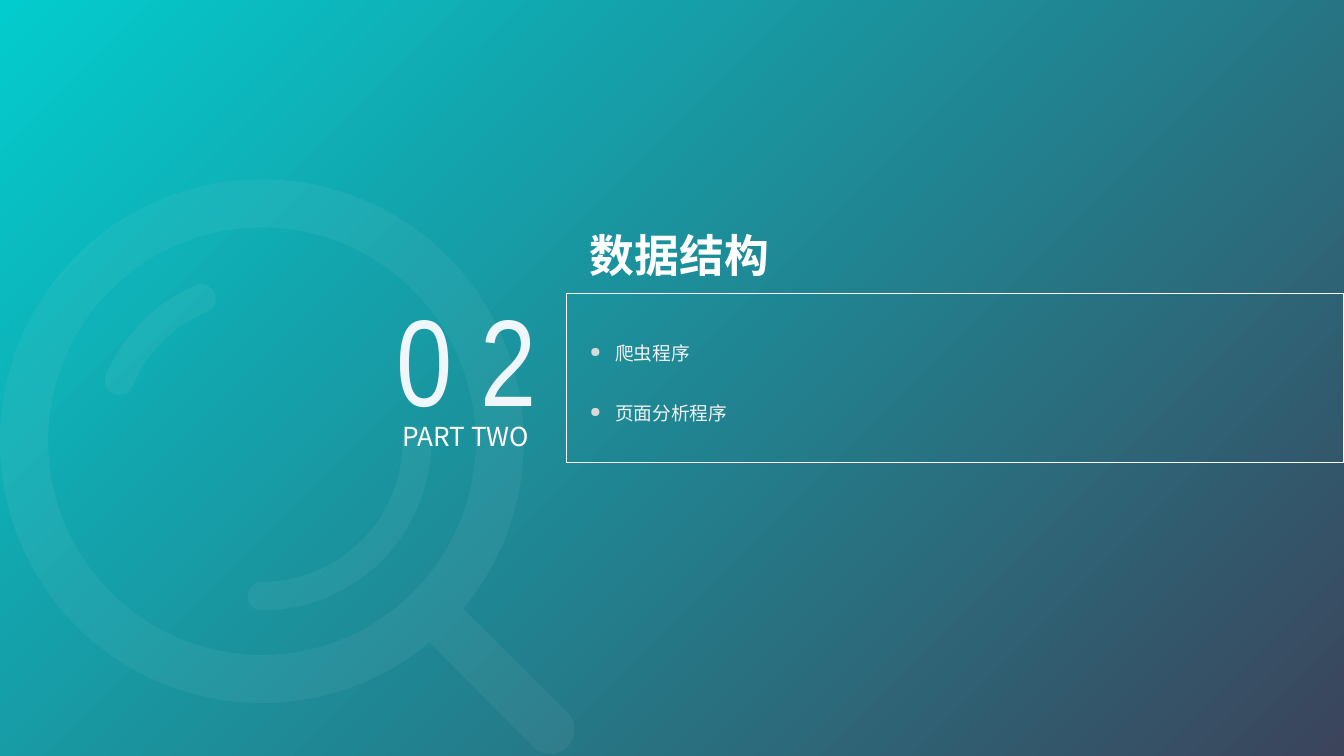
import math
from dataclasses import dataclass

from lxml import etree
from pptx import Presentation
from pptx import util as u
from pptx.dml.color import RGBColor
from pptx.enum import shapes, text
from pptx.oxml import ns

HUE = {"teal": "03CCCE", "slate": "3B445B", "white": "FFFFFF",
       "ice": "EFF6FC", "pale": "F2F2F2", "dot": "D9D9D9"}
SANS, SLIM = "Noto Sans CJK SC", "Arial Narrow"


@dataclass
class Box:
    left: float
    top: float
    width: float
    height: float

    def emu(self) -> list:
        return [u.Cm(v) for v in (self.left, self.top, self.width, self.height)]


@dataclass
class Arc:
    x: float
    y: float
    rad: float
    start: float
    end: float

    def spot(self, deg: float, slide: float = 0) -> tuple:
        c, s = math.cos(math.radians(deg)), math.sin(math.radians(deg))
        return (u.Cm(self.x + self.rad * (c - slide * s)),
                u.Cm(self.y + self.rad * (s + slide * c)))

    def curves(self) -> list:
        low, high = sorted((self.start, self.end))
        cuts = [low, *(d for d in range(-360, 721, 45) if low < d < high), high]
        if self.start > self.end:
            cuts.reverse()
        out = []
        for a, b in zip(cuts, cuts[1:]):
            pull = 4 / 3 * math.tan(math.radians(b - a) / 4)
            out += [self.spot(a, pull), self.spot(b, -pull), self.spot(b)]
        return out


def rgb(name: str) -> RGBColor:
    return RGBColor.from_string(HUE[name])


def node(parent, tag: str, **attrs):
    return etree.SubElement(parent, ns.qn(tag), attrs)


def write(shape, *lines: str, size: float, font: str, hue: str = "white",
          bold: bool = False, align=text.PP_ALIGN.LEFT,
          anchor=text.MSO_ANCHOR.TOP, wrap: bool = True,
          bullet: bool = False) -> None:
    frame = shape.text_frame
    frame.word_wrap = wrap
    frame.vertical_anchor = anchor
    for i, line in enumerate(lines):
        para = frame.add_paragraph() if i else frame.paragraphs[0]
        para.alignment = align
        run = para.add_run()
        run.text = line
        run.font.size = u.Pt(size)
        run.font.bold = bold
        run.font.color.rgb = rgb(hue)
        run.font.name = font
        node(run.font._element, "a:ea", typeface=SANS)
        if bullet:
            para.line_spacing = u.Pt(16)
            if i:
                para.space_before = u.Pt(16)
            props = para._p.get_or_add_pPr()
            props.set("marL", str(u.Cm(0.48)))
            props.set("indent", str(-u.Cm(0.48)))
            node(node(props, "a:buClr"), "a:srgbClr", val=HUE["dot"])
            node(props, "a:buSzPct", val="75000")
            node(props, "a:buChar", char="●")


def join(*arcs: Arc) -> list:
    ring = [arcs[0].spot(arcs[0].start)]
    for i, arc in enumerate(arcs):
        if i:
            ring += [arc.spot(arc.start)] * 3
        ring += arc.curves()
    return ring


def band(x: float, y: float, rad: float, half: float,
         start: float, end: float) -> list:
    mid = Arc(x, y, rad, start, end)

    def tip(deg: float, turn: float) -> Arc:
        cx, cy = mid.spot(deg)
        return Arc(u.Emu(cx).cm, u.Emu(cy).cm, half, turn, turn + 180)

    return join(Arc(x, y, rad + half, start, end), tip(end, end),
                Arc(x, y, rad - half, end, start), tip(start, start + 180))


def bend(shape) -> None:
    for path in shape._element.iter(ns.qn("a:path")):
        lines = path.findall(ns.qn("a:lnTo"))
        for trio in zip(*[iter(lines)] * 3):
            curve = etree.Element(ns.qn("a:cubicBezTo"))
            trio[0].addprevious(curve)
            for line in trio:
                curve.append(line[0])
                path.remove(line)


def lens(slide, x: float, y: float) -> None:
    rings = [join(Arc(x, y, 4.95, 50.2, 399.8), Arc(10.4, 13.79, 0.46, -45, 135)),
             join(Arc(x, y, 4.04, 360, 0)),
             band(x, y, 2.93, 0.27, 0, 90), band(x, y, 2.93, 0.27, 203, 247)]
    pen = slide.shapes.build_freeform(*rings[0][0], scale=1.0)
    for i, ring in enumerate(rings):
        if i:
            pen.move_to(*ring[0])
        pen.add_line_segments(ring[1:], close=True)
    shape = pen.convert_to_shape()
    bend(shape)
    shape.shadow.inherit = False
    shape.line.fill.background()
    shape.fill.solid()
    shape.fill.fore_color.rgb = rgb("white")
    tint = shape._element.spPr.find(".//" + ns.qn("a:srgbClr"))
    node(tint, "a:alpha", val="5000")


def panel(slide, kind, box: Box):
    shape = slide.shapes.add_shape(kind, *box.emu())
    shape.shadow.inherit = False
    shape.fill.background()
    shape.line.fill.background()
    return shape


def label(slide, box: Box):
    shape = slide.shapes.add_textbox(*box.emu())
    shape.text_frame.auto_size = text.MSO_AUTO_SIZE.SHAPE_TO_FIT_TEXT
    return shape


deck = Presentation()
deck.slide_width, deck.slide_height = u.Cm(25.4), u.Cm(14.29)
slide = deck.slides.add_slide(deck.slide_layouts[6])

back = slide.background.fill
back.gradient()
back.gradient_angle = 315
for stop, hue, place in zip(back.gradient_stops, ("teal", "slate"), (0, 1)):
    stop.color.rgb = rgb(hue)
    stop.position = place

lens(slide, 4.95, 8.34)

frame = panel(slide, shapes.MSO_SHAPE.RECTANGLE, Box(10.7, 5.54, 14.7, 3.2))
frame.line.color.rgb = rgb("white")
frame.line.width = u.Pt(0.5)

title = panel(slide, shapes.MSO_SHAPE.ROUNDED_RECTANGLE,
              Box(10.9, 4.15, 10.21, 1.32))
title.adjustments[0] = 0
write(title, "数据结构", size=24, font=SANS, bold=True,
      anchor=text.MSO_ANCHOR.MIDDLE)

mid = text.PP_ALIGN.CENTER
write(label(slide, Box(7.13, 5.23, 3.38, 3.07)), "0 2",
      size=66, font=SLIM, hue="ice", align=mid, wrap=False)
write(label(slide, Box(10.9, 6.2, 3.12, 1.9)), "爬虫程序", "页面分析程序",
      size=10, font=SLIM, hue="pale", wrap=False, bullet=True)
write(label(slide, Box(7.13, 7.82, 3.35, 0.86)), "PART TWO",
      size=14, font=SANS, align=mid)

deck.save("out.pptx")
